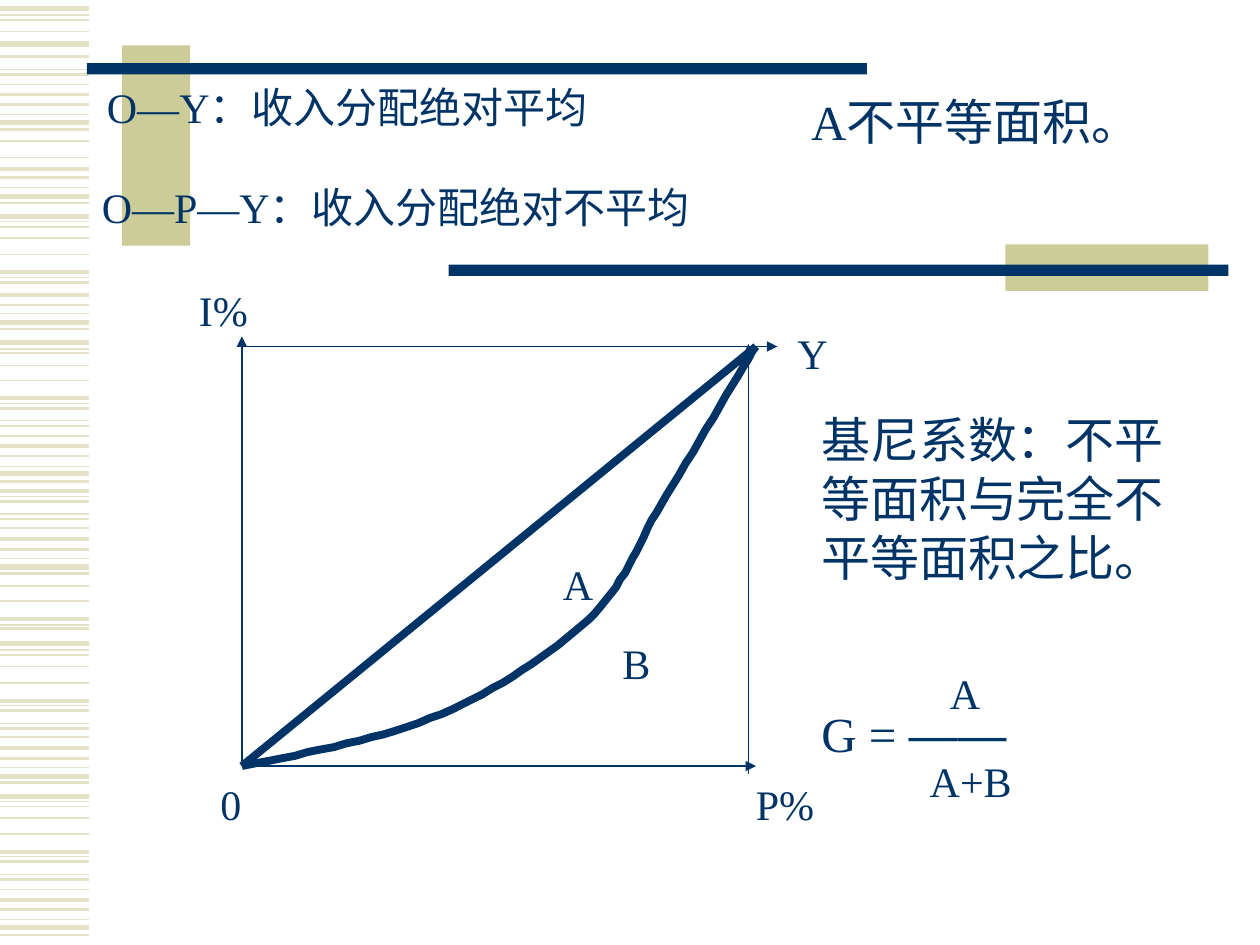
from lxml import etree
from pptx import Presentation
from pptx import util as u
from pptx.dml.color import RGBColor
from pptx.enum import shapes, text
from pptx.oxml import ns

PX = 9144
NAVY = RGBColor(0x00, 0x33, 0x66)
KHAKI = RGBColor(0xCC, 0xCC, 0x99)
PALE = RGBColor(0xE3, 0xE2, 0xC7)

STRIPES = {
    3: [7, 35, 97, 156, 172, 256, 272, 376, 450, 511, 616, 632, 736],
    2.25: [75, 134, 216, 234, 316, 354, 390, 428, 491, 556, 594, 676, 714],
    1.5: [45, 59, 83, 103, 141, 161, 224, 242, 261, 324, 338, 362, 382, 398,
          412, 436, 455, 499, 564, 578, 602, 621, 684, 698, 722, 742],
    1: [16, 25, 67, 112, 125, 180, 189, 202, 280, 290, 302, 346, 419, 465,
        477, 520, 529, 542, 585, 640, 649, 662, 706],
    0.75: [12, 55, 91, 149, 176, 220, 249, 277, 320, 334, 370, 394, 408, 443,
           496, 516, 560, 574, 609, 636, 680, 694, 730],
}


def px(*values):
    return [u.Emu(v * PX) for v in values]


def add_run(p, words, size=24, font="Times New Roman", color=NAVY):
    r = p.add_run()
    r.text = words
    r.font.size = u.Pt(size)
    r.font.name = font
    r.font.color.rgb = color


def add_text(s, x, y, w, h, words, wrap=False, **fmt):
    tf = s.shapes.add_textbox(*px(x, y, w, h)).text_frame
    tf.word_wrap = wrap
    tf.auto_size = (text.MSO_AUTO_SIZE.NONE if wrap
                    else text.MSO_AUTO_SIZE.SHAPE_TO_FIT_TEXT)
    add_run(tf.paragraphs[0], words, **fmt)
    return tf


def add_line(s, x1, y1, x2, y2, color=NAVY, weight=0.75, arrow=False):
    line = s.shapes.add_connector(
        shapes.MSO_CONNECTOR.STRAIGHT, *px(x1, y1, x2, y2))
    line.line.color.rgb = color
    line.line.width = u.Pt(weight)
    if arrow:
        etree.SubElement(line.line._get_or_add_ln(), ns.qn("a:tailEnd"),
                         type="triangle")
    etree.SubElement(line._element.spPr, ns.qn("a:effectLst"))


def add_bar(s, x, y, w, h, color):
    sp = s.shapes.add_shape(shapes.MSO_SHAPE.RECTANGLE, *px(x, y, w, h))
    sp.shadow.inherit = False
    sp.fill.solid()
    sp.fill.fore_color.rgb = color
    sp.line.fill.background()


def bezier(points, steps=16):
    for i in range(0, len(points) - 1, 3):
        curve = points[i:i + 4]
        for k in range(1, steps + 1):
            t = k / steps
            weights = ((1 - t) ** 3, 3 * t * (1 - t) ** 2,
                       3 * t ** 2 * (1 - t), t ** 3)
            yield tuple(sum(n * p[axis] for n, p in zip(weights, curve))
                        for axis in (0, 1))


def add_curve(s, points):
    builder = s.shapes.build_freeform(*points[0], scale=PX)
    builder.add_line_segments(list(bezier(points)), close=False)
    sp = builder.convert_to_shape()
    sp.shadow.inherit = False
    sp.fill.background()
    sp.line.color.rgb = NAVY
    sp.line.width = u.Pt(4.5)


def stripe_band(s, x, y, w):
    for weight, offsets in STRIPES.items():
        for dy in offsets:
            add_line(s, x, y + dy, x + w, y + dy, PALE, weight)


def title_frame(s, x, y):
    add_bar(s, x + 28, y, 54, 159, KHAKI)
    add_bar(s, x, y + 14, 619, 9, NAVY)
    add_bar(s, x + 729, y + 158, 161, 37, KHAKI)
    add_bar(s, x + 287, y + 174, 619, 9, NAVY)


def lorenz_diagram(s, x, y, w, h):
    for x1, y1, x2, y2 in [(0, h, w, h), (0, h, 0, -8), (0, 0, w + 17, 0),
                           (w - 6, h + 6, w - 6, -2)]:
        add_line(s, x + x1, y + y1, x + x2, y + y2, arrow=True)
    add_line(s, x, y + h, x + w, y, weight=4.5)
    curve = [(0, h), (56, 322), (112, 311), (158, 292), (204, 272),
             (245, 244), (275, 217), (304, 189), (311, 161), (333, 125),
             (355, 89), (395, 21), (w, 0)]
    add_curve(s, [(x + dx, y + dy) for dx, dy in curve])
    for words, dx, dy, width in [("0", -27, 338, 36), ("P%", 398, 338, 66),
                                 ("I%", -44, -54, 59), ("B", 292, 226, 42),
                                 ("A", 245, 163, 44), ("Y", 431, -20, 44)]:
        add_text(s, x + dx, y + dy, width, 50, words)


def line_meanings(s, x, y):
    add_text(s, x + 4, y, 445, 50, "O—Y：收入分配绝对平均", wrap=True)
    add_text(s, x, y + 79, 494, 50, "O—P—Y：收入分配绝对不平均")
    add_text(s, x + 563, y + 8, 323, 57, "A不平等面积。", wrap=True, size=28)


def gini_definition(s, x, y, w, h):
    tf = add_text(s, x, y, w, h, "基尼系数：不平等面积与完全不平等面积之比。",
                  wrap=True, size=28)
    p = tf.add_paragraph()
    p.space_before = u.Pt(67)
    add_run(p, "G = ", size=28)
    add_run(p, "——", size=28, font="Arial")
    add_text(s, x + 102, y + 205, 71, 50, "A", wrap=True)
    add_text(s, x + 86, y + 275, 95, 50, "A+B", wrap=True)


def main():
    prs = Presentation()
    prs.slide_width, prs.slide_height = px(1000, 750)
    s = prs.slides.add_slide(prs.slide_layouts[6])
    stripe_band(s, 0, 0, 71)
    title_frame(s, 69, 36)
    lorenz_diagram(s, 192, 275, 408, 333)
    line_meanings(s, 71, 60)
    gini_definition(s, 642, 320, 323, 363)
    prs.save("out.pptx")


if __name__ == "__main__":
    main()
